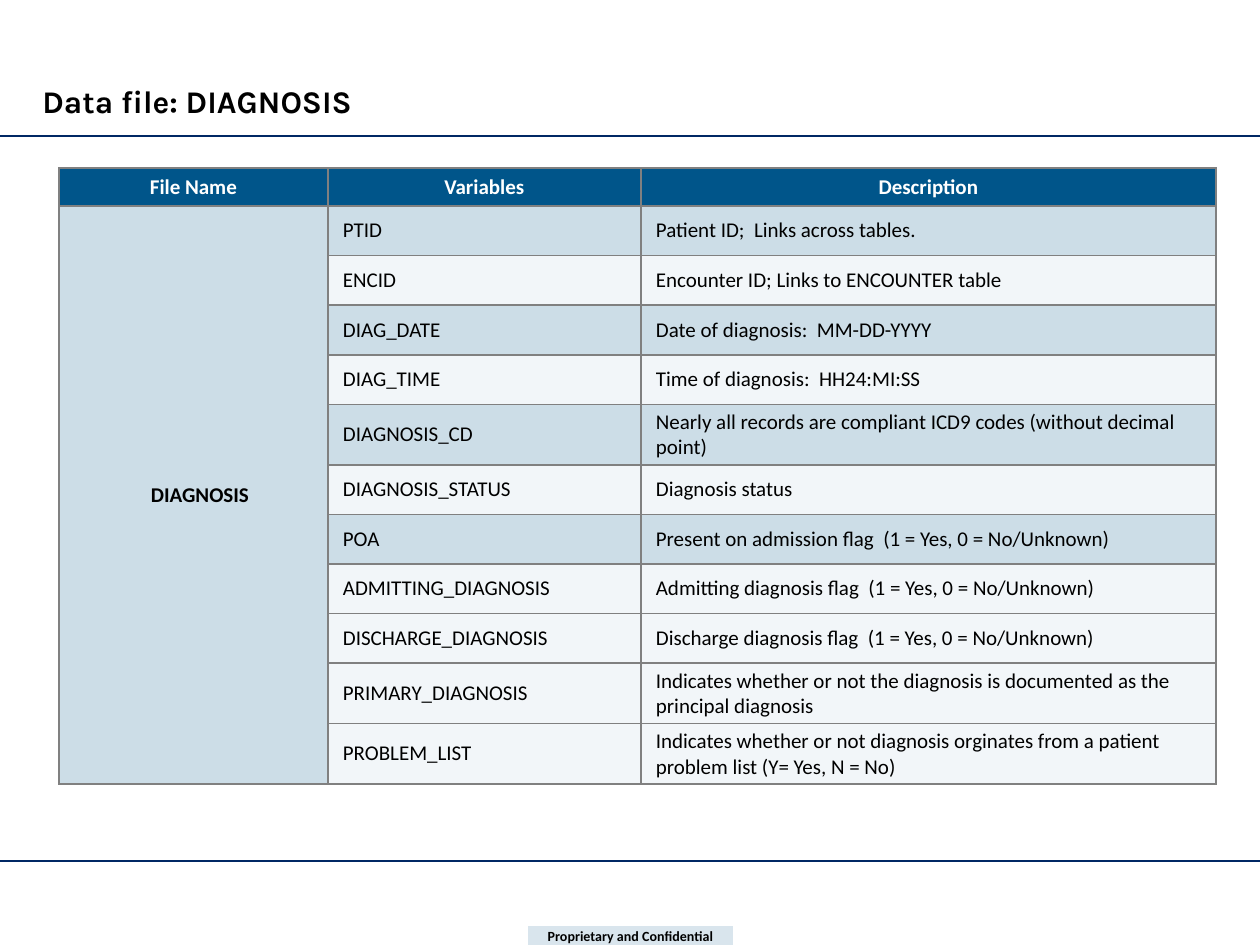
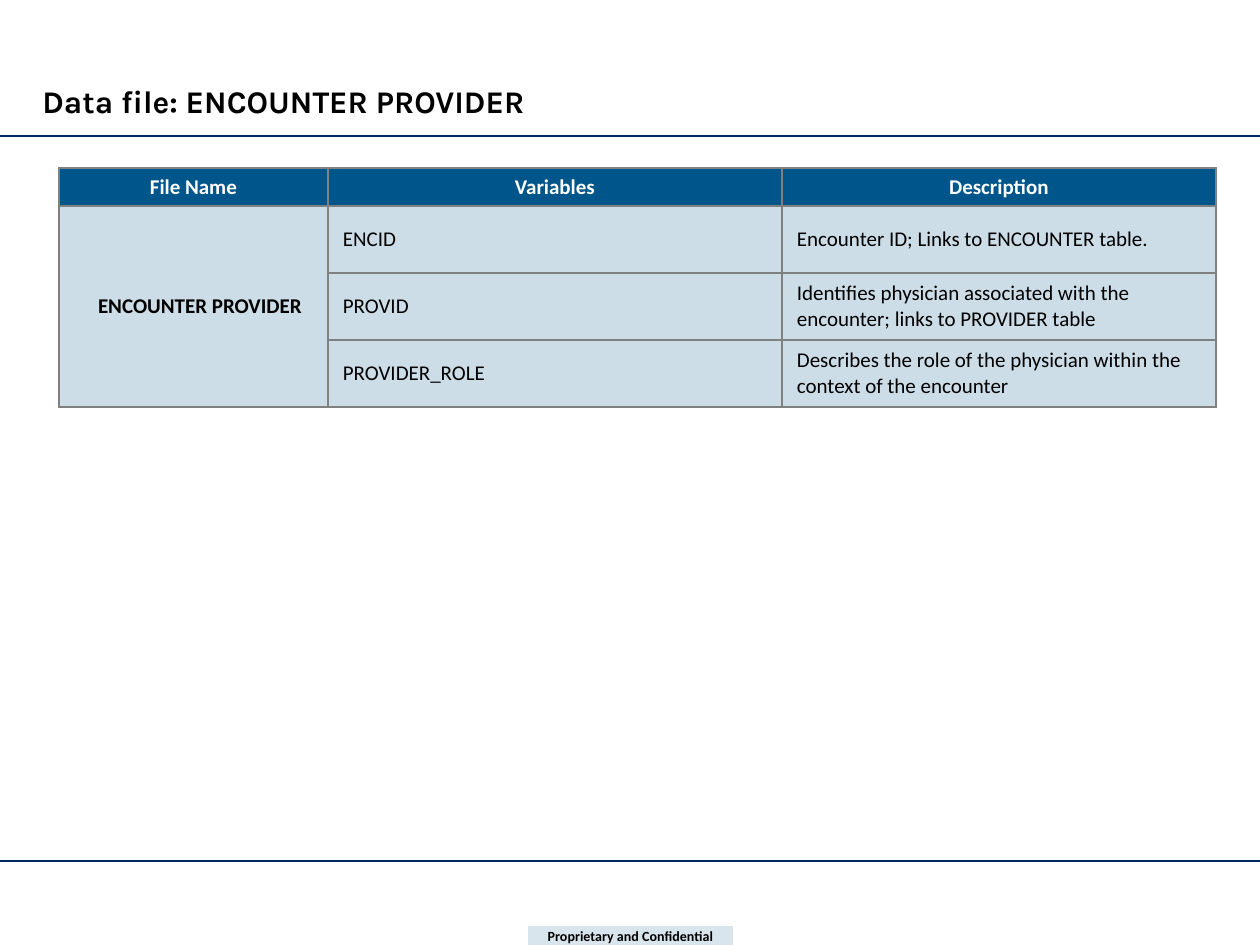
from lxml.etree import SubElement
from pptx import Presentation
from pptx.dml.color import RGBColor
from pptx.enum.shapes import MSO_CONNECTOR, MSO_SHAPE
from pptx.enum.text import MSO_ANCHOR, PP_ALIGN
from pptx.oxml import parse_xml
from pptx.oxml.ns import nsdecls, qn
from pptx.util import Pt

# Content: body rows are (variable, description, tint in percent)
HEADERS = ("File Name", "Variables", "Description")
FOOTER = "Proprietary and Confidential"
DARK, LIGHT = 20, 5
FILES = [
    {
        "name": "DIAGNOSIS",
        "cols": (269, 313, 575),
        "body_h": 546,
        "pad_y": 5,
        "rows": [
            ("PTID", "Patient ID;  Links across tables.", DARK),
            ("ENCID", "Encounter ID; Links to ENCOUNTER table", LIGHT),
            ("DIAG_DATE", "Date of diagnosis:  MM-DD-YYYY", DARK),
            ("DIAG_TIME", "Time of diagnosis:  HH24:MI:SS", LIGHT),
            ("DIAGNOSIS_CD", "Nearly all records are compliant ICD9 codes "
             "(without decimal point)", DARK),
            ("DIAGNOSIS_STATUS", "Diagnosis status", LIGHT),
            ("POA", "Present on admission flag  (1 = Yes, 0 = No/Unknown)", DARK),
            ("ADMITTING_DIAGNOSIS",
             "Admitting diagnosis flag  (1 = Yes, 0 = No/Unknown)", LIGHT),
            ("DISCHARGE_DIAGNOSIS",
             "Discharge diagnosis flag  (1 = Yes, 0 = No/Unknown)", LIGHT),
            ("PRIMARY_DIAGNOSIS", "Indicates whether or not the diagnosis is "
             "documented as the principal diagnosis", LIGHT),
            ("PROBLEM_LIST", "Indicates whether or not diagnosis orginates from "
             "a patient problem list (Y= Yes, N = No)", LIGHT),
        ],
    },
    {
        "name": "ENCOUNTER PROVIDER",
        "cols": (269, 454, 434),
        "body_h": 201,
        "pad_y": 0,
        "rows": [
            ("ENCID", "Encounter ID; Links to ENCOUNTER table.", DARK),
            ("PROVID", "Identifies physician associated with the encounter; "
             "links to PROVIDER table", DARK),
            ("PROVIDER_ROLE", "Describes the role of the physician within the "
             "context of the encounter", DARK),
        ],
    },
]

# Shared style
BLUE = RGBColor(0x00, 0x55, 0x8A)
NAVY = RGBColor(0x00, 0x28, 0x64)
GREY = RGBColor(0x80, 0x80, 0x80)
BLACK = RGBColor(0x00, 0x00, 0x00)
WHITE = RGBColor(0xFF, 0xFF, 0xFF)
TITLE_FONT, BODY_FONT = "Karla", "Calibri"

# Layout in px
SLIDE_W, SLIDE_H = 1260, 945
RULES_Y = (861, 136)
TITLE_BOX = (30, 76, 1197, 50)
FOOTER_BOX = (528, 926, 205, 19)
FOOTER_TINT = 15
TABLE_X, TABLE_Y, HEADER_H = 59, 168, 38
NAME_PAD, CELL_PAD = 13, 15


def px(n):
    return round(n * 914400 / 126)


def style(p, text, font, size, color=BLACK, bold=True, align=PP_ALIGN.LEFT):
    p.text = text
    p.alignment = align
    p.font.name, p.font.size, p.font.bold = font, Pt(size), bold
    p.font.color.rgb = color


def tint(fill, parent, percent=100):
    """Fill with blue; below 100 percent it is see-through."""
    fill.solid()
    fill.fore_color.rgb = BLUE
    if percent < 100:
        clr = parent.find(qn("a:solidFill"))[0]
        SubElement(clr, qn("a:alpha"), val=str(percent * 1000))


def set_margins(o, left, top=0, right=0, bottom=0):
    o.margin_left, o.margin_top = px(left), px(top)
    o.margin_right, o.margin_bottom = px(right), px(bottom)


def add_borders(tc_pr):
    for i, side in enumerate(("lnL", "lnR", "lnT", "lnB")):
        tc_pr.insert(i, parse_xml(
            f'<a:{side} {nsdecls("a")} w="{Pt(1)}"><a:solidFill>'
            f'<a:srgbClr val="{GREY}"/></a:solidFill></a:{side}>'))


def add_frame(s, title):
    # Rules
    for y in RULES_Y:
        rule = s.shapes.add_connector(
            MSO_CONNECTOR.STRAIGHT, 0, px(y), px(SLIDE_W), px(y))
        rule.line.color.rgb, rule.line.width = NAVY, Pt(0.75)
        SubElement(rule._element.spPr, qn("a:effectLst"))

    # Footer band
    sp = s.shapes.add_shape(MSO_SHAPE.RECTANGLE, *map(px, FOOTER_BOX))
    sp.shadow.inherit = False
    tint(sp.fill, sp._element.spPr, FOOTER_TINT)
    sp.line.fill.background()
    tf = sp.text_frame
    tf.word_wrap = True
    set_margins(tf, 1, 1, 1, 1)
    style(tf.paragraphs[0], FOOTER, BODY_FONT, 8, align=PP_ALIGN.CENTER)

    # Title
    tf = s.shapes.add_textbox(*map(px, TITLE_BOX)).text_frame
    tf.word_wrap = True
    tf.vertical_anchor = MSO_ANCHOR.BOTTOM
    style(tf.paragraphs[0], title, TITLE_FONT, 18)


def add_file_table(s, file):
    cols, rows = file["cols"], file["rows"]
    table = s.shapes.add_table(
        len(rows) + 1, len(cols), px(TABLE_X), px(TABLE_Y),
        px(sum(cols)), px(HEADER_H + file["body_h"])).table
    for col, w in zip(table.columns, cols):
        col.width = px(w)
    for i, row in enumerate(table.rows):
        row.height = px(file["body_h"] / len(rows) if i else HEADER_H)

    def put(r, c, text, percent, pad, pad_y=0, **look):
        cell = table.cell(r, c)
        tint(cell.fill, cell._tc.get_or_add_tcPr(), percent)
        add_borders(cell._tc.tcPr)
        set_margins(cell, pad, pad_y, 0, pad_y)
        cell.vertical_anchor = MSO_ANCHOR.MIDDLE
        style(cell.text_frame.paragraphs[0], text, BODY_FONT, 12, **look)

    for c, header in enumerate(HEADERS):
        put(0, c, header, 100, 0, color=WHITE, align=PP_ALIGN.CENTER)

    # The file name spans every body row
    table.cell(1, 0).merge(table.cell(len(rows), 0))
    for r, (variable, description, percent) in enumerate(rows, 1):
        put(r, 0, file["name"] if r == 1 else "", DARK, NAME_PAD,
            align=PP_ALIGN.CENTER)
        for c, text in enumerate((variable, description), 1):
            put(r, c, text, percent, CELL_PAD, file["pad_y"], bold=False)


def main():
    prs = Presentation()
    prs.slide_width, prs.slide_height = px(SLIDE_W), px(SLIDE_H)
    for file in FILES:
        s = prs.slides.add_slide(prs.slide_layouts[6])
        add_frame(s, f"Data file: {file['name']}")
        add_file_table(s, file)
    prs.save("out.pptx")


if __name__ == "__main__":
    main()
